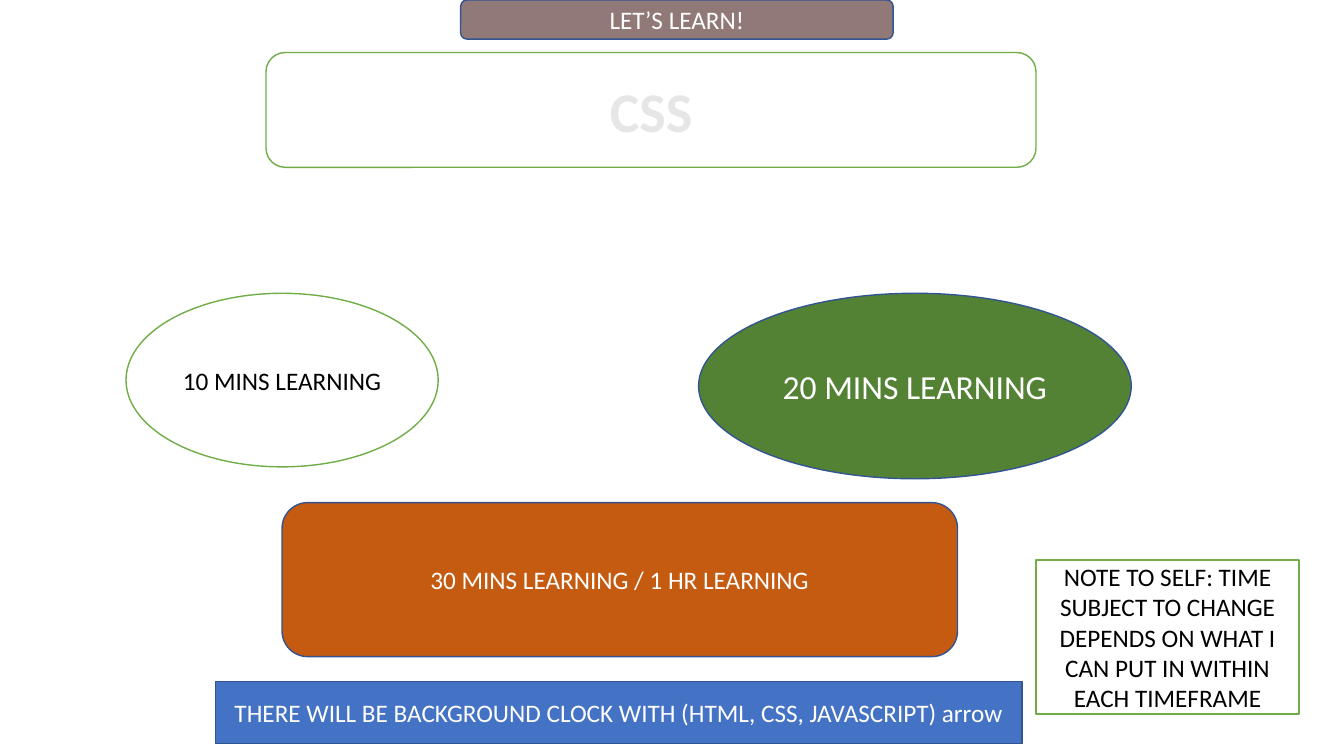
from pptx import Presentation
from pptx.dml.color import RGBColor
from pptx.enum.shapes import MSO_SHAPE
from pptx.enum.text import MSO_ANCHOR, MSO_AUTO_SIZE, PP_ALIGN
from pptx.util import Pt

ROUNDED = MSO_SHAPE.ROUNDED_RECTANGLE
OVAL = MSO_SHAPE.OVAL
BOX = MSO_SHAPE.RECTANGLE
MIDDLE = MSO_ANCHOR.MIDDLE
NO_FIT = MSO_AUTO_SIZE.NONE
CENTER = PP_ALIGN.CENTER
TITLE_ONLY = 5

COLORS = {
    "white": "FFFFFF", "black": "000000", "pale": "E7E6E6",
    "mauve": "917977", "green": "548235", "orange": "C55A11",
    "blue": "4472C4", "navy": "325491", "leaf": "70AD47",
}


def rgb(name):
    return RGBColor.from_string(COLORS[name])


class LessonSlide:
    font = "Calibri"
    frame_format = {"word_wrap": True, "auto_size": NO_FIT, "vertical_anchor": MIDDLE}

    def __init__(self, deck):
        self.slide = deck.slides.add_slide(deck.slide_layouts[TITLE_ONLY])

    def label(self, holder, text, size, color, bold=False):
        frame = holder.text_frame
        for key, value in self.frame_format.items():
            setattr(frame, key, value)
        line = frame.paragraphs[0]
        line.alignment = CENTER
        run = line.add_run()
        run.text = text
        font_format = {"name": self.font, "size": Pt(size), "bold": bold}
        for key, value in font_format.items():
            setattr(run.font, key, value)
        run.font.color.rgb = rgb(color)

    def panel(self, kind, place, fill, outline, text="", size=18, color="white"):
        panel = self.slide.shapes.add_shape(kind, *map(Pt, place))
        panel.shadow.inherit = False
        panel.fill.solid()
        panel.fill.fore_color.rgb = rgb(fill)
        panel.line.color.rgb = rgb(outline)
        panel.line.width = Pt(1)
        if text:
            self.label(panel, text, size, color)

    def title(self, place, text, size, color):
        title = self.slide.shapes.title
        for key, value in zip(("left", "top", "width", "height"), place):
            setattr(title, key, Pt(value))
        self.label(title, text, size, color, bold=True)
        # Bring the heading in front of its frame
        self.slide.shapes._spTree.append(title._element)


deck = Presentation()
deck.slide_width, deck.slide_height = Pt(960), Pt(540)
lesson = LessonSlide(deck)

# Banner and framed heading
lesson.panel(ROUNDED, (329, 0, 309, 28), "mauve", "navy", "LET’S LEARN!")
heading_place = (190, 37.5, 550, 82)
lesson.panel(ROUNDED, heading_place, "white", "leaf")
lesson.title(heading_place, "CSS", 40, "pale")

# Learning times
lesson.panel(OVAL, (90, 209.5, 223, 124), "white", "leaf", "10 MINS LEARNING", color="black")
lesson.panel(OVAL, (499, 209.5, 309, 132.5), "green", "navy", "20 MINS LEARNING", size=24)
lesson.panel(ROUNDED, (201.5, 359, 482.5, 110), "orange", "navy",
             "30 MINS LEARNING / 1 HR LEARNING")

# Clock reminder and note
lesson.panel(BOX, (154, 487, 576, 44), "blue", "navy",
             "THERE WILL BE BACKGROUND CLOCK WITH (HTML, CSS, JAVASCRIPT) arrow")
lesson.panel(BOX, (740, 400, 188, 110), "white", "leaf",
             "NOTE TO SELF: TIME SUBJECT TO CHANGE DEPENDS ON WHAT I CAN PUT IN "
             "WITHIN EACH TIMEFRAME", color="black")

deck.save("out.pptx")
